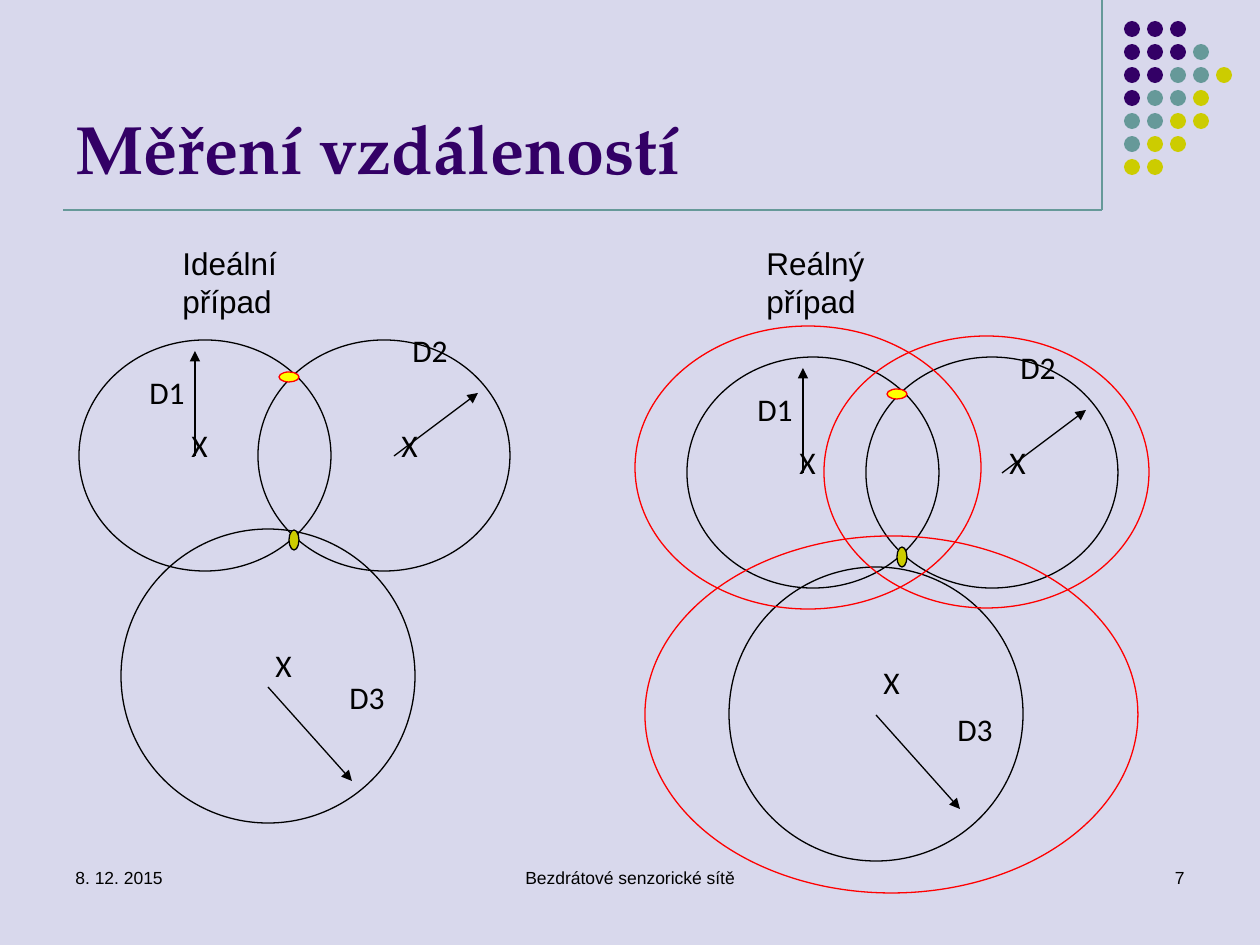
from dataclasses import dataclass

from lxml import etree
from pptx import Presentation
from pptx.dml.color import RGBColor
from pptx.enum.shapes import MSO_CONNECTOR, MSO_SHAPE
from pptx.enum.text import MSO_ANCHOR, PP_ALIGN
from pptx.oxml.ns import qn
from pptx.slide import Slide
from pptx.util import Emu, Pt

ELLIPSE = MSO_SHAPE.OVAL
STRAIGHT = MSO_CONNECTOR.STRAIGHT
TOP, BOTTOM = MSO_ANCHOR.TOP, MSO_ANCHOR.BOTTOM
LEFT, CENTER, RIGHT = PP_ALIGN.LEFT, PP_ALIGN.CENTER, PP_ALIGN.RIGHT

BACKGROUND = RGBColor(0xD8, 0xD8, 0xEC)
PURPLE = RGBColor(0x33, 0x00, 0x66)
TEAL = RGBColor(0x66, 0x99, 0x99)
OLIVE = RGBColor(0xCC, 0xCC, 0x00)
YELLOW = RGBColor(0xFF, 0xFF, 0x00)
RED = RGBColor(0xFF, 0x00, 0x00)
BLACK = RGBColor(0x00, 0x00, 0x00)

DOT_COLORS = {"P": PURPLE, "T": TEAL, "Y": OLIVE}
DOT_ROWS = ("PPP", "PPPT", "PPTTY", "PTTY", "TTYY", "TYY", "YY")


def px(n):
    """Turn pixels, 126 to the inch, into EMU."""
    return Emu(round(n * 914400 / 126))


@dataclass
class Painter:
    """Draw styled elements on the current slide."""

    slide: Slide
    font: str = "Arial"
    label_font: str = "Calibri"
    title_font: str = "TeX Gyre Pagella"
    line_width: float = 0.75

    def ellipse(self, x, y, w, h, fill=None, line=None):
        s = self.slide.shapes.add_shape(ELLIPSE, px(x), px(y), px(w), px(h))
        s.shadow.inherit = False
        if fill is None:
            s.fill.background()
        else:
            s.fill.solid()
            s.fill.fore_color.rgb = fill
        if line is None:
            s.line.fill.background()
        else:
            s.line.color.rgb = line
            s.line.width = Pt(self.line_width)

    def line(self, x1, y1, x2, y2, color=BLACK, arrow=False):
        c = self.slide.shapes.add_connector(STRAIGHT, px(x1), px(y1), px(x2), px(y2))
        c.line.color.rgb = color
        c.line.width = Pt(self.line_width)
        if arrow:
            etree.SubElement(c.line._get_or_add_ln(), qn("a:tailEnd"), type="triangle")
        etree.SubElement(c._element.spPr, qn("a:effectLst"))

    def text(self, text, x, y, w, h, size=18, font=None, color=BLACK,
             bold=False, align=LEFT, anchor=TOP, wrap=True):
        tf = self.slide.shapes.add_textbox(px(x), px(y), px(w), px(h)).text_frame
        tf.word_wrap = wrap
        tf.vertical_anchor = anchor
        tf.text = text
        p = tf.paragraphs[0]
        p.alignment = align
        r = p.runs[0]
        r.font.name = font or self.font
        r.font.size = Pt(size)
        r.font.bold = bold
        r.font.color.rgb = color

    def label(self, text, x, y):
        self.text(text, x, y, 42 if text == "X" else 62, 50,
                  font=self.label_font, wrap=False)

    def dots(self, x, y, pitch, size):
        for i, row in enumerate(DOT_ROWS):
            for j, key in enumerate(row):
                self.ellipse(x + j * pitch, y + i * pitch, size, size, DOT_COLORS[key])

    def trilateration(self, dx=0, dy=0, circle_dy=0, arrow_dy=0, label_dy=0):
        for x, y, w, h in ((79, 340 + dy, 252, 231), (258, 340 + dy, 252, 231),
                           (121, 529 + circle_dy, 294, 294)):
            self.ellipse(x + dx, y, w, h, line=BLACK)
        for x1, y1, x2, y2, shift in ((394, 456, 478, 393, dy), (195, 456, 195, 351, dy),
                                      (268, 687, 352, 781, arrow_dy)):
            self.line(x1 + dx, y1 + shift, x2 + dx, y2 + shift, arrow=True)
        self.ellipse(289 + dx, 530 + dy, 10, 20, OLIVE, BLACK)
        for text, x, y in (("X", 179, 420 + dy), ("X", 389, 420 + dy), ("X", 263, 640 + dy),
                           ("D1", 137, 367 + dy), ("D2", 400, 325 + dy),
                           ("D3", 337, 672 + label_dy)):
            self.label(text, x + dx, y)
        self.ellipse(279 + dx, 372 + dy, 20, 10, YELLOW, RED)


def main():
    prs = Presentation()
    prs.slide_width, prs.slide_height = px(1260), px(945)
    slide = prs.slides.add_slide(prs.slide_layouts[6])
    slide.background.fill.solid()
    slide.background.fill.fore_color.rgb = BACKGROUND
    painter = Painter(slide)

    painter.line(1102, 0, 1102, 210, TEAL)
    painter.dots(1124, 21, 23, 16)
    painter.line(63, 210, 1102, 210, TEAL)
    painter.text("Měření vzdáleností", 63, 16, 1040, 178, 39, painter.title_font,
                 PURPLE, bold=True, anchor=BOTTOM)
    for text, x, w, align in (("8. 12. 2015", 63, 294, LEFT),
                              ("Bezdrátové senzorické sítě", 431, 398, CENTER),
                              ("7", 903, 294, RIGHT)):
        painter.text(text, x, 861, w, 63, 10, align=align)

    painter.trilateration()
    painter.text("Ideální případ", 170, 238, 214, 48)

    painter.trilateration(dx=608, dy=17, circle_dy=38, arrow_dy=28, label_dy=32)
    for box in ((824, 336, 325, 272), (635, 326, 346, 283), (645, 536, 493, 357)):
        painter.ellipse(*box, line=RED)
    painter.text("Reálný případ", 754, 238, 218, 48)

    prs.save("out.pptx")


if __name__ == "__main__":
    main()
